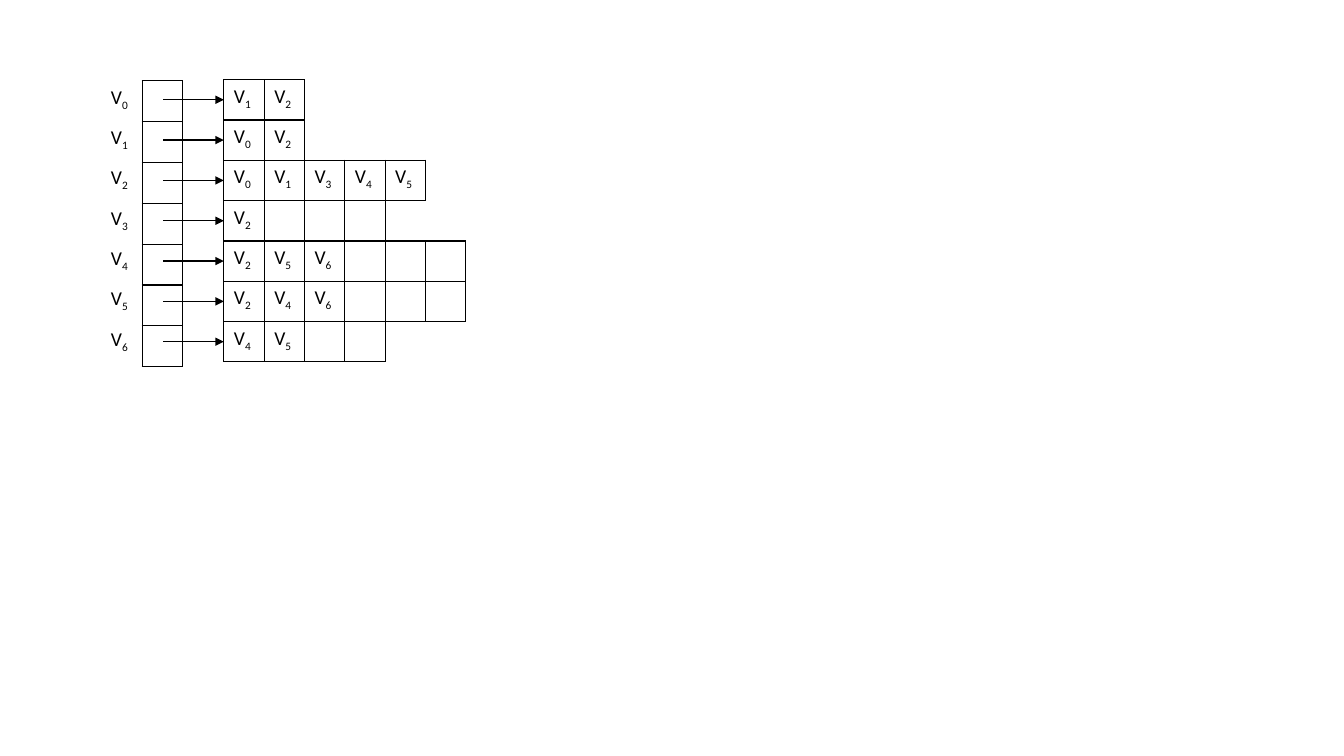
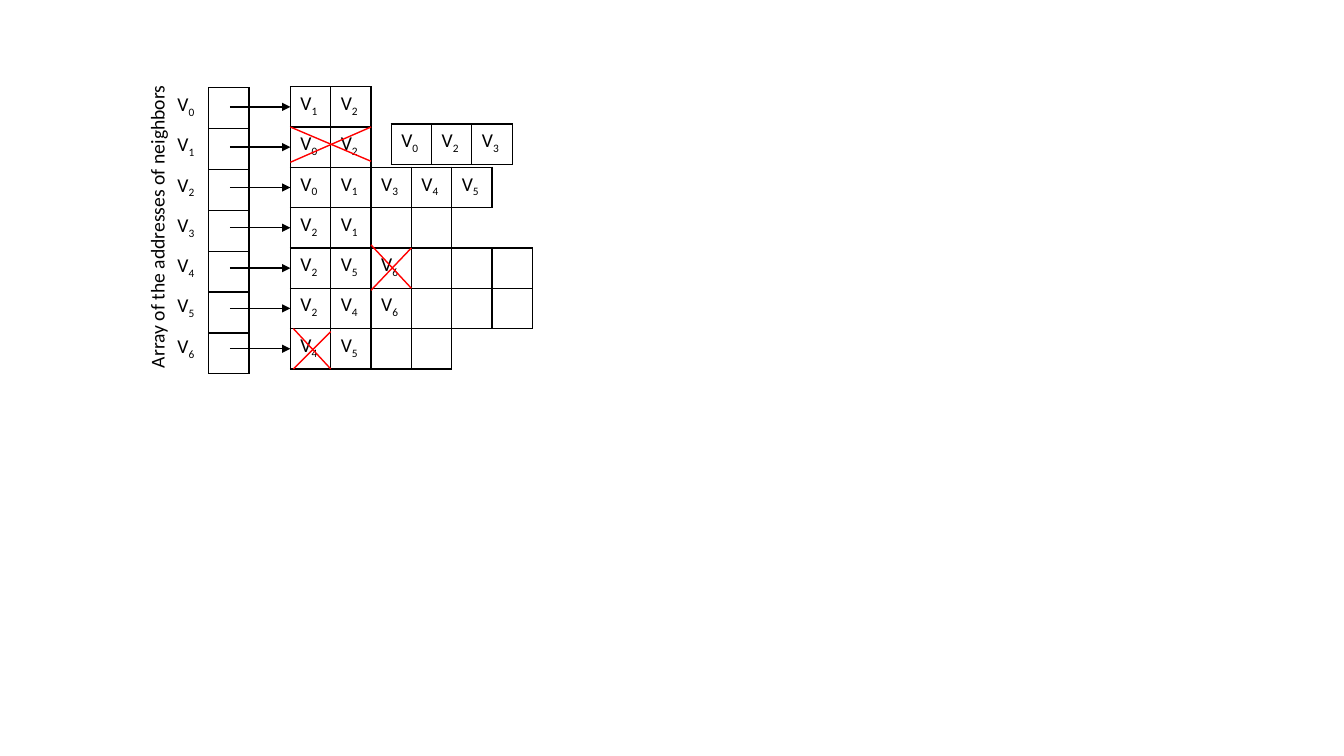
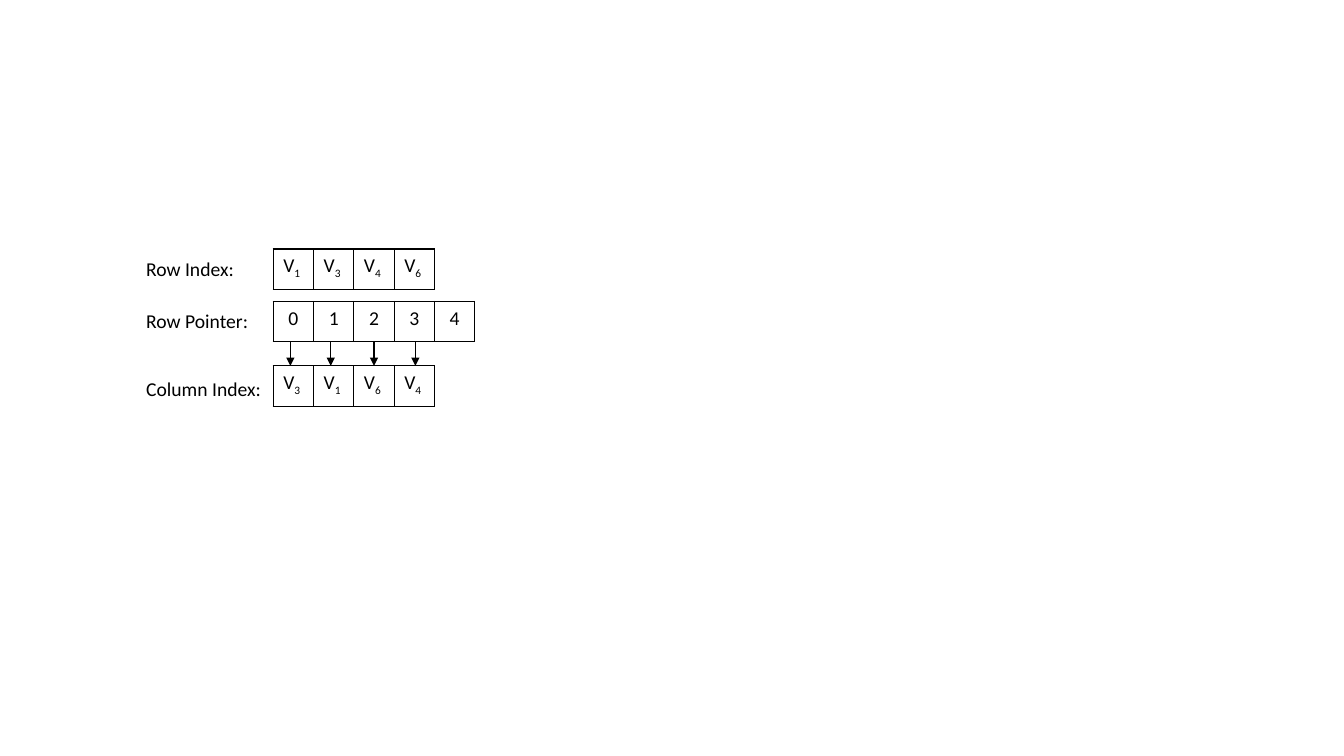
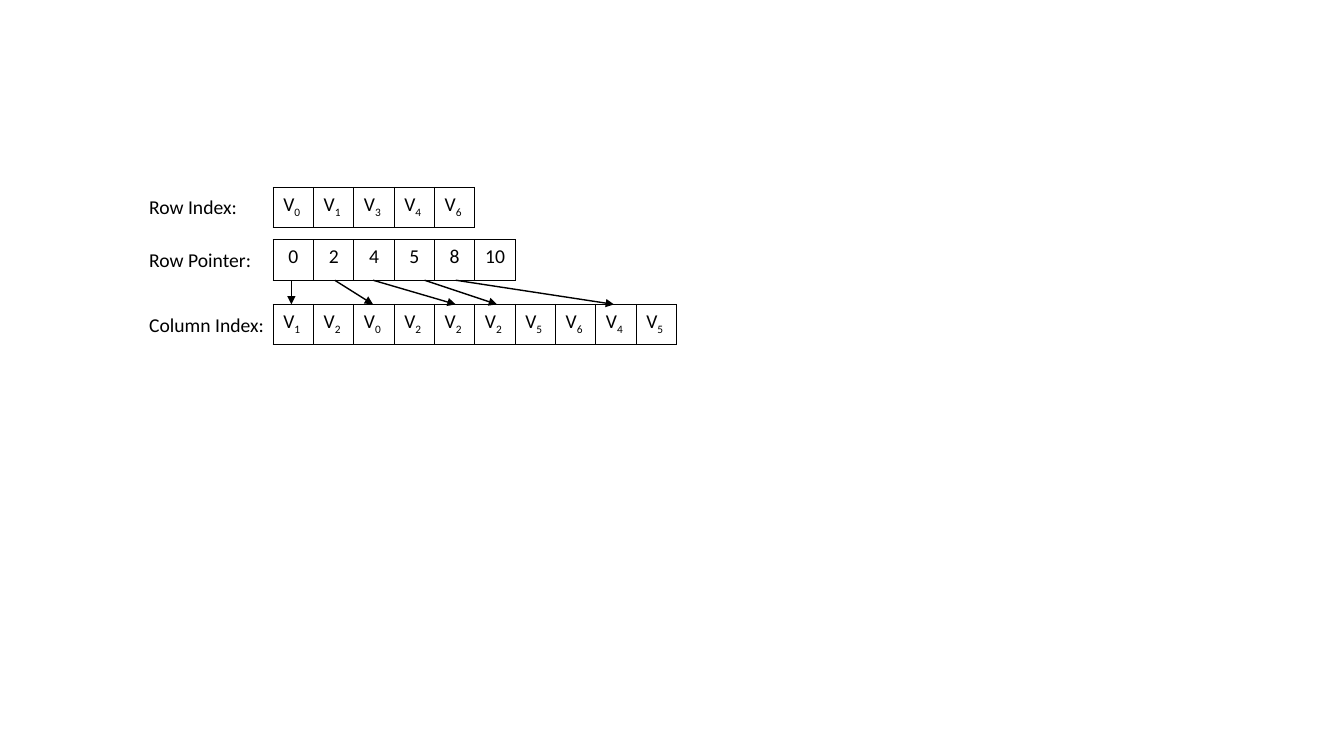
from lxml.etree import SubElement
from pptx import Presentation
from pptx.dml.color import RGBColor
from pptx.enum.shapes import MSO_CONNECTOR
from pptx.enum.text import MSO_AUTO_SIZE, PP_ALIGN
from pptx.oxml.ns import qn
from pptx.util import Pt

PX = 9144  # EMU in one px: 100 px to the inch
CELL = 40
FONT = "Calibri"
TEXT_SIZE = 14
COLORS = {"ink": "000000", "removed": "FF0000"}
PLAIN_TABLE = "{2D5ABB26-0587-4C30-8999-92F81FD0307C}"
VERTEX_COUNT = 7


def px(*lengths):
    return [length * PX for length in lengths]


def vertices(*numbers, spare=0):
    """Cell texts for the numbered vertices, then spare empty cells."""
    return [f"V{number}" for number in numbers] + [""] * spare


def add_span(para, text, size=TEXT_SIZE, color="ink", subscript=False):
    span = para.add_run()
    span.text = text
    span.font.name = FONT
    span.font.size = Pt(size)
    span.font.color.rgb = RGBColor.from_string(COLORS[color])
    if subscript:
        span._r.get_or_add_rPr().set("baseline", "-25000")


def fill_para(para, text, size=TEXT_SIZE):
    """Write a vertex with a subscript, a centred number, or an empty line."""
    if not text:
        SubElement(para._p, qn("a:endParaRPr"), sz=str(size * 100))
    elif text.startswith("V"):
        add_span(para, text[0], size)
        add_span(para, text[1:], size, subscript=True)
    else:
        para.alignment = PP_ALIGN.CENTER
        add_span(para, text, size)


def add_borders(cell):
    properties = cell._tc.get_or_add_tcPr()
    for side in ("lnL", "lnR", "lnT", "lnB"):
        line = SubElement(properties, qn(f"a:{side}"), w=str(Pt(1)))
        fill = SubElement(line, qn("a:solidFill"))
        SubElement(fill, qn("a:srgbClr"), val=COLORS["ink"])


def add_grid(page, left, top, rows, size=TEXT_SIZE, bordered=True):
    """Table of square cells, one list of texts per row."""
    columns = len(rows[0])
    box = px(left, top, columns * CELL, len(rows) * CELL)
    frame = page.shapes.add_table(len(rows), columns, *box)
    table = frame.table
    table.first_row = table.horz_banding = False
    table._tbl.tblPr.find(qn("a:tableStyleId")).text = PLAIN_TABLE
    for row_number, texts in enumerate(rows):
        for column_number, text in enumerate(texts):
            cell = table.cell(row_number, column_number)
            if bordered:
                add_borders(cell)
            cell.fill.background()
            fill_para(cell.text_frame.paragraphs[0], text, size)


def add_line(page, x1, y1, x2, y2, color="ink", arrow=False):
    connector = page.shapes.add_connector(
        MSO_CONNECTOR.STRAIGHT, *px(x1, y1, x2, y2))
    connector.line.color.rgb = RGBColor.from_string(COLORS[color])
    connector.line.width = Pt(1)
    properties = connector._element.spPr
    if arrow:
        SubElement(properties.find(qn("a:ln")), qn("a:tailEnd"), type="triangle")
    SubElement(properties, qn("a:effectLst"))


def add_label(page, left, top, width, text, rotation=0, wrap=False):
    box = page.shapes.add_textbox(*px(left, top, width, 34))
    box.rotation = rotation
    box.text_frame.word_wrap = wrap
    box.text_frame.auto_size = MSO_AUTO_SIZE.SHAPE_TO_FIT_TEXT
    add_span(box.text_frame.paragraphs[0], text)


def add_adjacency(page, left, top, neighbors):
    """Vertex names, address array and neighbor lists; returns the lists' corner."""
    list_left, list_top = left + 122, top - 1
    for number, texts in enumerate(neighbors):
        add_grid(page, list_left, list_top + number * CELL, [texts])
    add_grid(page, left + 41, top, [[""]] * len(neighbors), size=18)
    for number in range(len(neighbors)):
        middle = list_top + number * CELL + CELL // 2
        add_line(page, left + 62, middle, list_left, middle, arrow=True)
    names = [[name] for name in vertices(*range(len(neighbors)))]
    add_grid(page, left, top, names, bordered=False)
    return list_left, list_top


def add_removals(page, left, top, strokes):
    for x1, y1, x2, y2 in strokes:
        add_line(page, left + x1, top + y1, left + x2, top + y2, color="removed")


def add_compressed_rows(page, left, top, row_index, row_pointer, column_index,
                        arrows, label_indent, label_drops):
    """Three labelled arrays; arrows are (start x, end x) from left."""
    parts = (
        ("Row Index:", 108, 0, row_index),
        ("Row Pointer:", 122, 52, row_pointer),
        ("Column Index:", 135, 116, column_index),
    )
    for (label, width, offset, texts), drop in zip(parts, label_drops):
        add_grid(page, left, top + offset, [texts])
        add_label(page, left - label_indent, top + offset + drop, width, label)
    for start, end in arrows:
        add_line(page, left + start, top + 92, left + end, top + 116, arrow=True)


def build_lists_page(page):
    add_adjacency(page, 100, 80, [
        vertices(1, 2),
        vertices(0, 2),
        vertices(0, 1, 3, 4, 5),
        vertices(2, spare=3),
        vertices(2, 5, 6, spare=3),
        vertices(2, 4, 6, spare=3),
        vertices(4, 5, spare=2),
    ])


def build_updates_page(page):
    left, top = add_adjacency(page, 166, 87, [
        vertices(1, 2),
        vertices(0, 2),
        vertices(0, 1, 3, 4, 5),
        vertices(2, 1, spare=2),
        vertices(2, 5, 6, spare=3),
        vertices(2, 4, 6, spare=3),
        vertices(4, 5, spare=2),
    ])
    add_label(page, -9, 193, 330, "Array of the addresses of neighbors",
              rotation=270, wrap=True)
    add_grid(page, left + 100, top + 37, [vertices(0, 2, 3)])
    add_removals(page, left, top, [
        (0, 75, 80, 40), (0, 40, 80, 74),
        (80, 157, 120, 200), (120, 160, 80, 202),
        (3, 240, 40, 280), (40, 243, 3, 280),
    ])


def build_small_rows_page(page):
    add_compressed_rows(
        page, 271, 247,
        row_index=vertices(1, 3, 4, 6),
        row_pointer=["0", "1", "2", "3", "4"],
        column_index=vertices(3, 1, 6, 4),
        arrows=[(17, 17), (57, 57), (100, 100), (141, 141)],
        label_indent=136, label_drops=(3, 3, 6))


def build_large_rows_page(page):
    add_compressed_rows(
        page, 271, 186,
        row_index=vertices(0, 1, 3, 4, 6),
        row_pointer=["0", "2", "4", "5", "8", "10"],
        column_index=vertices(1, 2, 0, 2, 2, 2, 5, 6, 4, 5),
        arrows=[(18, 18), (61, 99), (99, 181), (150, 222), (181, 338)],
        label_indent=133, label_drops=(2, 3, 4))


def main():
    deck = Presentation()
    deck.slide_width, deck.slide_height = px(1333, 750)
    blank = deck.slide_layouts[6]
    for build in (build_lists_page, build_updates_page,
                  build_small_rows_page, build_large_rows_page):
        build(deck.slides.add_slide(blank))
    deck.save("out.pptx")


if __name__ == "__main__":
    main()
